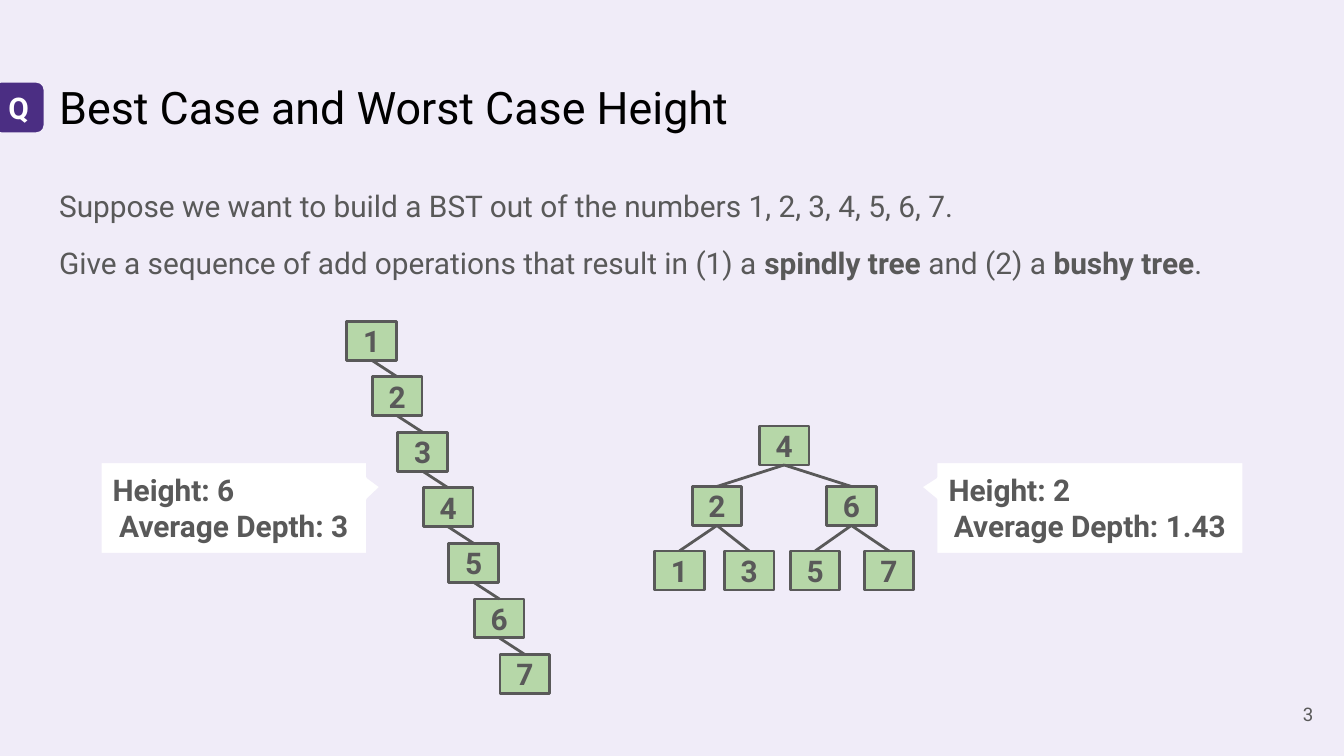
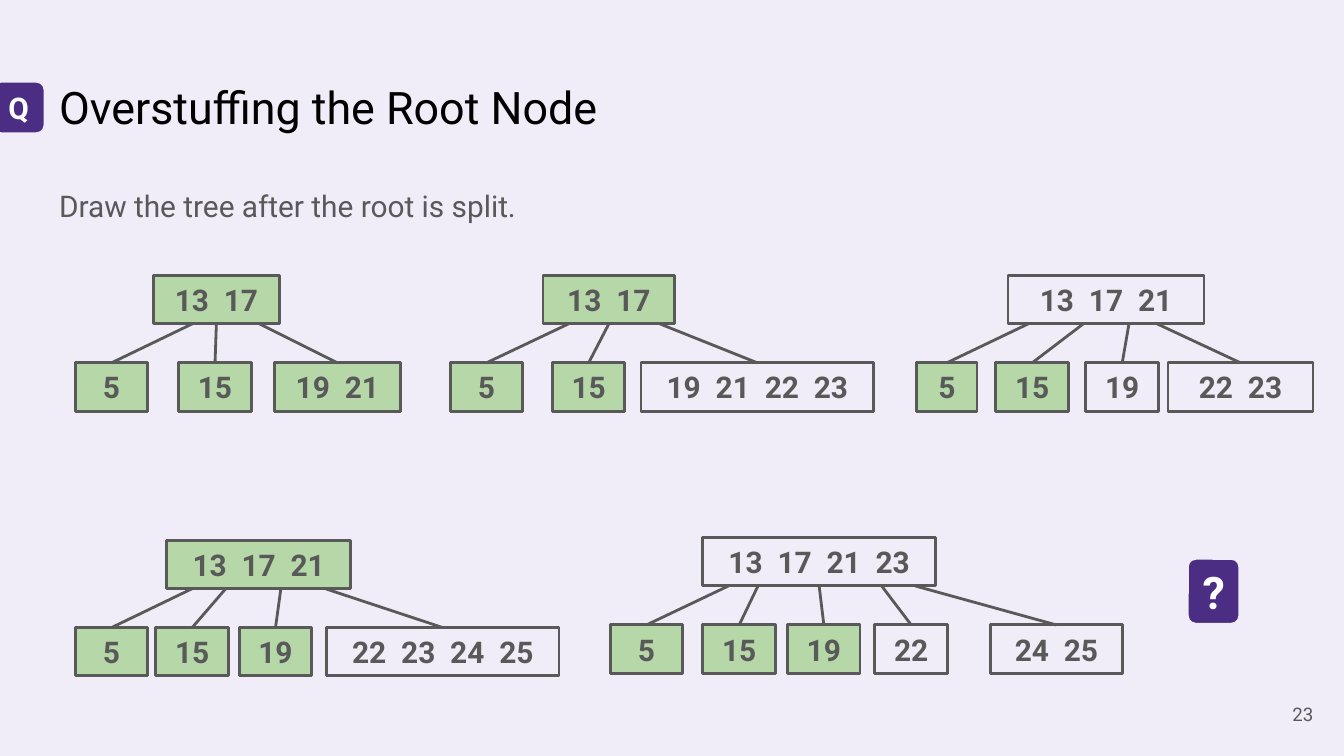
from lxml.etree import SubElement
from pptx import Presentation
from pptx.dml.color import RGBColor
from pptx.enum.shapes import MSO_CONNECTOR, MSO_SHAPE
from pptx.enum.text import MSO_ANCHOR, MSO_AUTO_SIZE, PP_ALIGN
from pptx.oxml.ns import qn
from pptx.util import Inches, Pt

# Shared look
FONT = "Roboto"
LAVENDER, PURPLE, GREEN = "F0ECF8", "4B2E83", "B6D7A8"
GREY, BLACK, WHITE = "595959", "000000", "FFFFFF"
KEY_GAP = "400"  # extra space between the keys of a node, 1/100 pt
LEFT, CENTER, RIGHT = PP_ALIGN.LEFT, PP_ALIGN.CENTER, PP_ALIGN.RIGHT

# Trees of the first slide
SPINDLY_START, SPINDLY_STEP = (2.58, 2.39), (0.19, 2.48 / 6)
BUSHY_NODES = {4: (5.65, 3.17), 2: (5.15, 3.62), 6: (6.15, 3.62),
               1: (4.87, 4.1), 3: (5.39, 4.1), 5: (5.88, 4.1), 7: (6.43, 4.1)}
BUSHY_EDGES = [(4, 2), (4, 6), (2, 1), (2, 3), (6, 5), (6, 7)]

# Trees of the second slide: root (left, top, width, keys, fill) and
# children (left, width, keys, fill, x where the edge leaves the root;
# None means the middle of its bottom side)
SPLIT_TREES = [
    ((1.14, 2.05, 0.94, "13 17", GREEN),
     [(0.56, 0.54, "5", GREEN, 1.43), (1.33, 0.54, "15", GREEN, None),
      (2.04, 0.94, "19 21", GREEN, 1.93)]),
    ((4.04, 2.05, 0.98, "13 17", GREEN),
     [(3.35, 0.54, "5", GREEN, 4.23), (4.11, 0.54, "15", GREEN, None),
      (4.77, 1.73, "19 21 22 23", LAVENDER, 4.91)]),
    ((7.5, 2.05, 1.46, "13 17 21", LAVENDER),
     [(6.82, 0.45, "5", GREEN, 7.65), (7.41, 0.54, "15", GREEN, 8.06),
      (8.08, 0.54, "19", LAVENDER, 8.4),
      (8.69, 1.08, "22 23", LAVENDER, 8.61)]),
    ((1.24, 4.02, 1.37, "13 17 21", GREEN),
     [(0.56, 0.54, "5", GREEN, 1.43), (1.16, 0.54, "15", GREEN, 1.68),
      (1.78, 0.54, "19", GREEN, 2.09),
      (2.43, 1.73, "22 23 24 25", LAVENDER, 2.42)]),
    ((5.23, 4, 1.73, "13 17 21 23", LAVENDER),
     [(4.54, 0.54, "5", GREEN, 5.42), (5.23, 0.54, "15", GREEN, 5.64),
      (5.86, 0.54, "19", GREEN, None), (6.51, 0.54, "22", LAVENDER, 6.56),
      (7.37, 0.98, "24 25", LAVENDER, 6.81)]),
]
SPLIT_HEIGHT, LEVEL_DROP = 0.36, 0.65


def rgb(value):
    return RGBColor.from_string(value)


def place(sp, left, top, width, height):
    box = {"left": left, "top": top, "width": width, "height": height}
    for name, value in box.items():
        setattr(sp, name, Inches(value))


def frame(sp, anchor):
    tf = sp.text_frame
    margins = {f"margin_{side}": Inches(0.1)
               for side in ("left", "top", "right", "bottom")}
    for name, value in {"word_wrap": True, "auto_size": MSO_AUTO_SIZE.NONE,
                        "vertical_anchor": anchor, **margins}.items():
        setattr(tf, name, value)
    return tf


def add_run(p, text, size, color, bold=False):
    r = p.add_run()
    r.text = text
    for name, value in {"name": FONT, "size": Pt(size), "bold": bold}.items():
        setattr(r.font, name, value)
    r.font.color.rgb = rgb(color)
    return r


def next_paragraph(tf, index, align):
    p = tf.paragraphs[0] if index == 0 else tf.add_paragraph()
    p.alignment = align
    return p


def add_box(shapes, kind, box, fill, line, weight):
    sp = shapes.add_shape(kind, *map(Inches, box))
    sp.shadow.inherit = False
    sp.fill.solid()
    sp.fill.fore_color.rgb = rgb(fill)
    sp.line.color.rgb = rgb(line)
    sp.line.width = Pt(weight)
    return sp


def add_badge(s, box, text, size):
    sp = add_box(s.shapes, MSO_SHAPE.ROUNDED_RECTANGLE, box, PURPLE, LAVENDER, 2.25)
    sp.adjustments[0] = 0.167
    p = next_paragraph(frame(sp, MSO_ANCHOR.MIDDLE), 0, CENTER)
    add_run(p, text, size, WHITE, True)


def add_node(shapes, box, keys, fill=GREEN):
    sp = add_box(shapes, MSO_SHAPE.RECTANGLE, box, fill, GREY, 1.5)
    p = next_paragraph(frame(sp, MSO_ANCHOR.MIDDLE), 0, CENTER)
    for i, key in enumerate(keys.split()):
        if i:
            gap = add_run(p, " ", 16, GREY, True)
            gap.font._element.set("spc", KEY_GAP)
        add_run(p, key, 16, GREY, True)
    return sp


def add_edge(shapes, parent, child, start=None):
    middle = parent.left + parent.width // 2
    x = middle if start is None else Inches(start)
    line = shapes.add_connector(MSO_CONNECTOR.STRAIGHT, x, parent.top + parent.height,
                                child.left + child.width // 2, child.top)
    if start is None:
        line.begin_connect(parent, 2)
    line.end_connect(child, 0)
    line.line.color.rgb = rgb(GREY)
    line.line.width = Pt(1.5)
    SubElement(line._element.spPr, qn("a:effectLst"))


def add_callout(s, box, pointer, height, depth):
    sp = add_box(s.shapes, MSO_SHAPE.ROUNDED_RECTANGULAR_CALLOUT, box,
                 WHITE, LAVENDER, 2.25)
    for i, value in enumerate((pointer, -0.224, 0)):
        sp.adjustments[i] = value
    tf = frame(sp, MSO_ANCHOR.MIDDLE)
    lines = [(f"Height: {height}", LEFT), (f"Average Depth: {depth}", CENTER)]
    for i, (text, align) in enumerate(lines):
        add_run(next_paragraph(tf, i, align), text, 16, GREY, True)


def add_question_slide(prs, title, body, body_height, number):
    """Slide with title, body lines of (text, bold) runs, number and Q badge."""
    s = prs.slides.add_slide(prs.slide_layouts[1])
    sp = s.shapes.title
    place(sp, 0.34, 0.49, 9.32, 0.63)
    add_run(next_paragraph(frame(sp, MSO_ANCHOR.TOP), 0, LEFT), title, 24, BLACK)

    sp = s.placeholders[1]
    place(sp, 0.34, 1.26, 9.32, body_height)
    tf = frame(sp, MSO_ANCHOR.TOP)
    for i, runs in enumerate(body):
        p = next_paragraph(tf, i, LEFT)
        spacing = {"line_spacing": 1.15, "space_before": Pt(8 if i else 0),
                   "space_after": Pt(8 if i == len(body) - 1 else 0)}
        for name, value in spacing.items():
            setattr(p, name, value)
        pPr = p._p.get_or_add_pPr()
        pPr.set("marL", "0")
        pPr.set("indent", "0")
        SubElement(pPr, qn("a:buNone"))
        for text, bold in runs:
            add_run(p, text, 16, GREY, bold)

    sp = s.shapes.add_textbox(*map(Inches, (9.27, 5.1, 0.6, 0.43)))
    p = next_paragraph(frame(sp, MSO_ANCHOR.MIDDLE), 0, RIGHT)
    add_run(p, number, 10, GREY)
    add_badge(s, (-0.06, 0.6, 0.4, 0.4), "Q", 16)
    return s


def add_binary_tree(s, positions, edges):
    shapes = s.shapes.add_group_shape().shapes
    nodes = {key: add_node(shapes, (*at, 0.37, 0.29), str(key))
             for key, at in positions.items()}
    for parent, child in edges:
        add_edge(shapes, nodes[parent], nodes[child])


def add_split_tree(s, root, children):
    shapes = s.shapes.add_group_shape().shapes
    left, top, width, keys, fill = root
    parent = add_node(shapes, (left, top, width, SPLIT_HEIGHT), keys, fill)
    for left, width, keys, fill, start in children:
        box = (left, top + LEVEL_DROP, width, SPLIT_HEIGHT)
        add_edge(shapes, parent, add_node(shapes, box, keys, fill), start)


def height_slide(prs):
    body = [[("Suppose we want to build a BST out of the numbers 1, 2, 3, 4, 5, 6, 7.", False)],
            [("Give a sequence of add operations that result in (1) a ", False),
             ("spindly tree", True), (" and (2) a ", False),
             ("bushy tree", True), (".", False)]]
    s = add_question_slide(prs, "Best Case and Worst Case Height", body, 0.9, "3")
    spindly = {i + 1: tuple(a + i * d for a, d in zip(SPINDLY_START, SPINDLY_STEP))
               for i in range(7)}
    add_binary_tree(s, spindly, [(i, i + 1) for i in range(1, 7)])
    add_binary_tree(s, BUSHY_NODES, BUSHY_EDGES)
    add_callout(s, (0.74, 3.43, 2, 0.7), 0.552, "6", "3")
    add_callout(s, (6.96, 3.43, 2.3, 0.7), -0.552, "2", "1.43")


def root_slide(prs):
    body = [[("Draw the tree after the root is split.", False)]]
    s = add_question_slide(prs, "Overstuffing the Root Node", body, 0.45, "23")
    for root, children in SPLIT_TREES:
        add_split_tree(s, root, children)
    add_badge(s, (8.83, 4.15, 0.4, 0.5), "?", 24)


def main():
    prs = Presentation()
    # Widescreen, 16:9
    prs.slide_width, prs.slide_height = Inches(10), Inches(10 * 9 / 16)
    fill = prs.slide_master.background.fill
    fill.solid()
    fill.fore_color.rgb = rgb(LAVENDER)
    height_slide(prs)
    root_slide(prs)
    prs.save("out.pptx")


if __name__ == "__main__":
    main()
